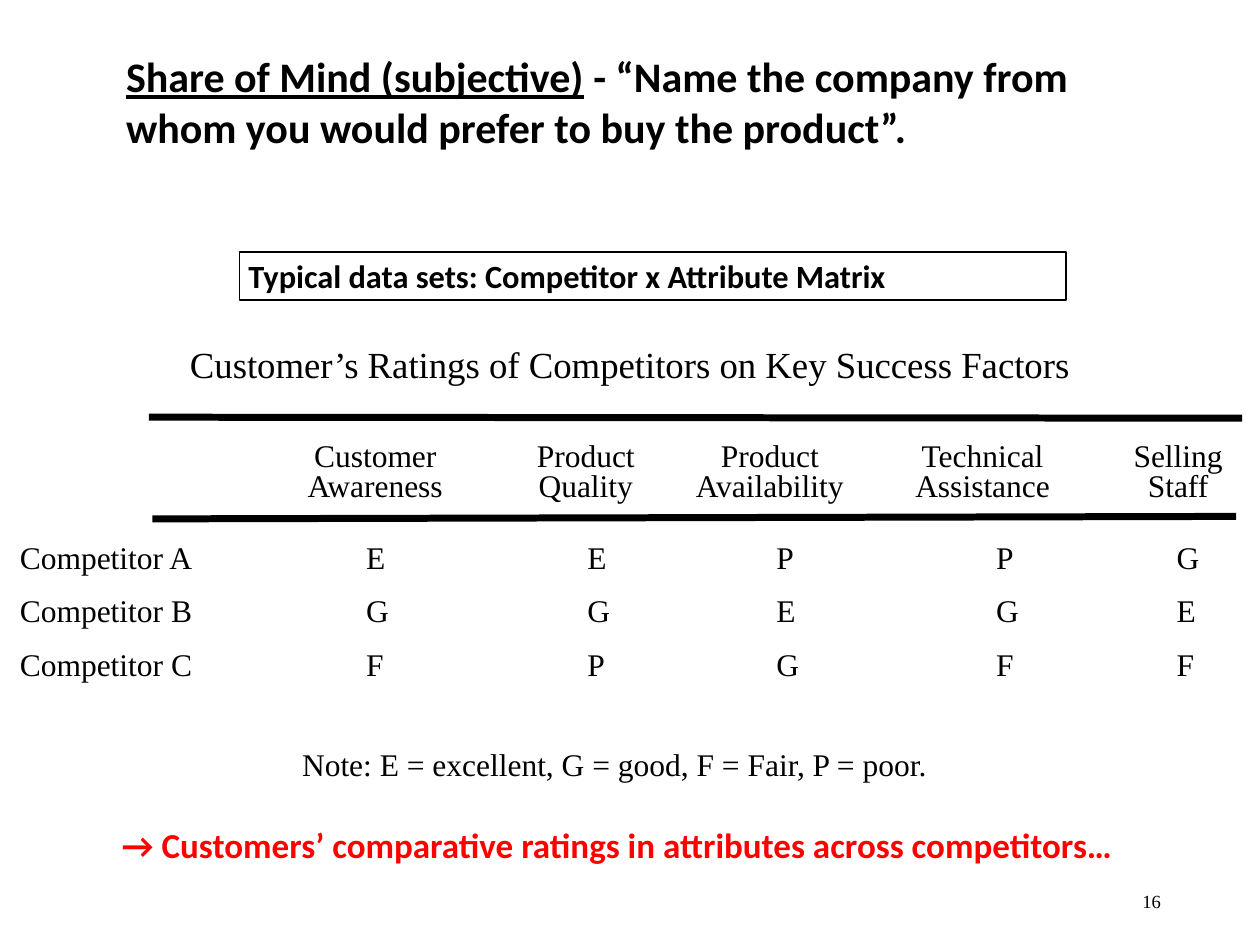
from lxml import etree
from pptx import Presentation
from pptx.dml.color import RGBColor
from pptx.enum.shapes import MSO_CONNECTOR, MSO_SHAPE
from pptx.enum.text import MSO_ANCHOR, PP_ALIGN
from pptx.oxml.ns import qn
from pptx.util import Cm, Pt

BLACK = RGBColor(0x00, 0x00, 0x00)
RED = RGBColor(0xFF, 0x00, 0x00)
SANS, SERIF = "Calibri", "Times New Roman"
LEFT, CENTER, RIGHT = PP_ALIGN.LEFT, PP_ALIGN.CENTER, PP_ALIGN.RIGHT
TOP, MIDDLE = MSO_ANCHOR.TOP, MSO_ANCHOR.MIDDLE
RECTANGLE, STRAIGHT = MSO_SHAPE.RECTANGLE, MSO_CONNECTOR.STRAIGHT
TITLE_ONLY = 5

TIGHT, MEDIUM, WIDE = (0.18, 0.08), (0.2, 0.1), (0.25, 0.13)

FACTORS = ["", "Customer Awareness", "Product Quality", "Product Availability",
           "Technical Assistance", "Selling Staff"]
RATINGS = {"Competitor A": "EEPPG", "Competitor B": "GGEGE", "Competitor C": "FPGFF"}
COLUMN_WIDTHS = [5.13, 4.47, 4.02, 3.4, 5.18, 2.7]
RATING_INDENTS = [0.2, 2.05, 2.04, 1.83, 2.86, 1.32]
HEADER_HEIGHT, ROW_HEIGHT = 2.34, 1.08


def apply(target, values):
    for name, value in values.items():
        setattr(target, name, value)


class SlideBuilder:
    """Holds the text style and the current slide; lengths are in cm."""

    def __init__(self, slide):
        self.slide = slide
        self.body = {"name": SERIF, "size": Pt(18), "bold": False}

    def add_runs(self, frame, runs, color=BLACK, align=LEFT, spacing=1.0, **style):
        paragraph = frame.paragraphs[0]
        apply(paragraph, {"alignment": align, "line_spacing": spacing})
        for text, extra in runs:
            run = paragraph.add_run()
            run.text = text
            apply(run.font, {**self.body, **style, **extra})
            run.font.color.rgb = color

    def frame(self, shape, margins, anchor=TOP):
        across, down = (Cm(margin) for margin in margins)
        apply(shape.text_frame, {
            "word_wrap": True, "vertical_anchor": anchor,
            "margin_left": across, "margin_right": across,
            "margin_top": down, "margin_bottom": down})
        return shape.text_frame

    def title(self, box, runs, **style):
        title = self.slide.shapes.title
        apply(title, dict(zip(("left", "top", "width", "height"), map(Cm, box))))
        self.add_runs(self.frame(title, TIGHT), runs, **style)

    def text(self, box, text, margins=MEDIUM, anchor=TOP, **style):
        label = self.slide.shapes.add_textbox(*map(Cm, box))
        self.add_runs(self.frame(label, margins, anchor), [(text, {})], **style)

    def outlined_box(self, box, text, **style):
        shape = self.slide.shapes.add_shape(RECTANGLE, *map(Cm, box))
        shape.shadow.inherit = False
        shape.fill.background()
        shape.line.color.rgb = BLACK
        shape.line.width = Pt(1)
        self.add_runs(self.frame(shape, TIGHT), [(text, {})], **style)

    def rule(self, *ends):
        line = self.slide.shapes.add_connector(STRAIGHT, *map(Cm, ends))
        line.line.color.rgb = BLACK
        line.line.width = Pt(4)
        etree.SubElement(line._element.spPr, qn("a:effectLst"))

    def cell(self, cell, text, indent, right, **style):
        cell.fill.background()
        apply(cell, {"vertical_anchor": MIDDLE,
                     "margin_left": Cm(indent), "margin_right": Cm(right),
                     "margin_top": 0, "margin_bottom": 0})
        self.add_runs(cell.text_frame, [(text, {})], **style)

    def ratings_table(self, left, top):
        height = HEADER_HEIGHT + ROW_HEIGHT * len(RATINGS)
        table = self.slide.shapes.add_table(
            len(RATINGS) + 1, len(FACTORS), Cm(left), Cm(top),
            Cm(sum(COLUMN_WIDTHS)), Cm(height)).table
        apply(table, {"first_row": False, "horz_banding": False})
        for column, width in zip(table.columns, COLUMN_WIDTHS):
            column.width = Cm(width)
        for index, row in enumerate(table.rows):
            row.height = Cm(ROW_HEIGHT if index else HEADER_HEIGHT)
        # Success factors
        for column, factor in enumerate(FACTORS):
            self.cell(table.cell(0, column), factor, 0.1, 0.1,
                      align=CENTER, spacing=0.85)
        # Competitors and their ratings
        for row, (competitor, grades) in enumerate(RATINGS.items(), start=1):
            for column, value in enumerate([competitor, *grades]):
                self.cell(table.cell(row, column), value, RATING_INDENTS[column], 0)


def main():
    deck = Presentation()
    deck.slide_width, deck.slide_height = Cm(25.4), Cm(19.05)
    page = SlideBuilder(deck.slides.add_slide(deck.slide_layouts[TITLE_ONLY]))

    # Heading and topic
    page.title((2.36, 0.94, 21.2, 3.25),
               [("Share of Mind (subjective)", {"underline": True}),
                (" - “Name the company from whom you would prefer to buy the product”.", {})],
               name=SANS, size=Pt(24), bold=True)
    page.outlined_box((4.83, 5.08, 16.66, 0.97),
                      "Typical data sets: Competitor x Attribute Matrix",
                      name=SANS, size=Pt(18.5), bold=True)

    # Ratings matrix between its rules
    page.text((3.63, 6.78, 18.54, 1.09),
              "Customer’s Ratings of Competitors on Key Success Factors", size=Pt(21))
    page.ratings_table(0.2, 8.38)
    page.rule(3, 8.41, 25.04, 8.43)
    page.rule(3.07, 10.46, 24.92, 10.41)
    page.text((5.89, 14.91, 13.06, 0.97),
              "Note: E = excellent, G = good, F = Fair, P = poor.")

    # Conclusion and page number
    page.text((2.21, 16.48, 21.56, 1.12),
              "→ Customers’ comparative ratings in attributes across competitors…",
              margins=WIDE, name=SANS, size=Pt(20), bold=True, color=RED)
    page.text((17.93, 17.65, 5.72, 1.02), "16", margins=WIDE, anchor=MIDDLE,
              align=RIGHT, size=Pt(10.6))

    deck.save("out.pptx")


if __name__ == "__main__":
    main()
